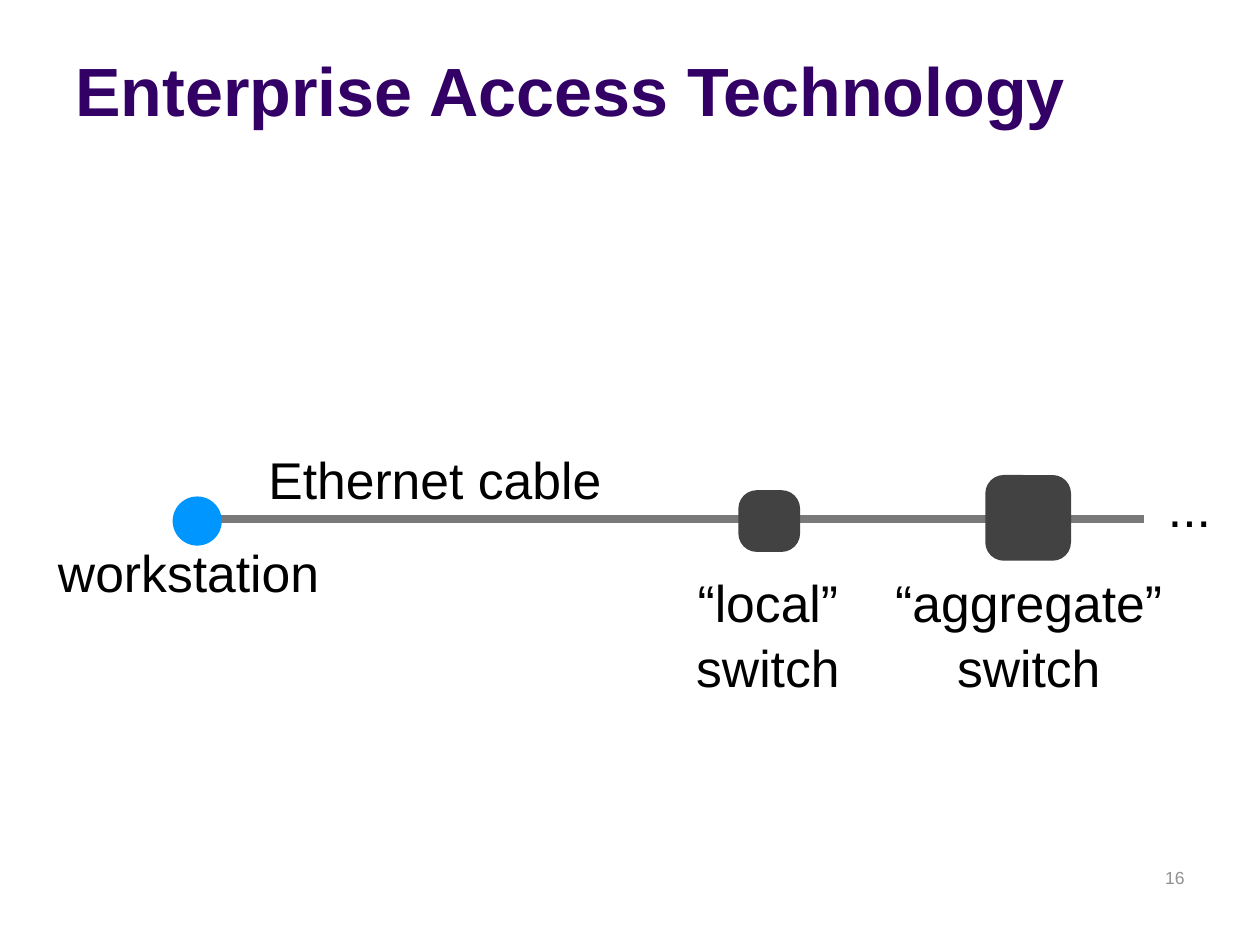
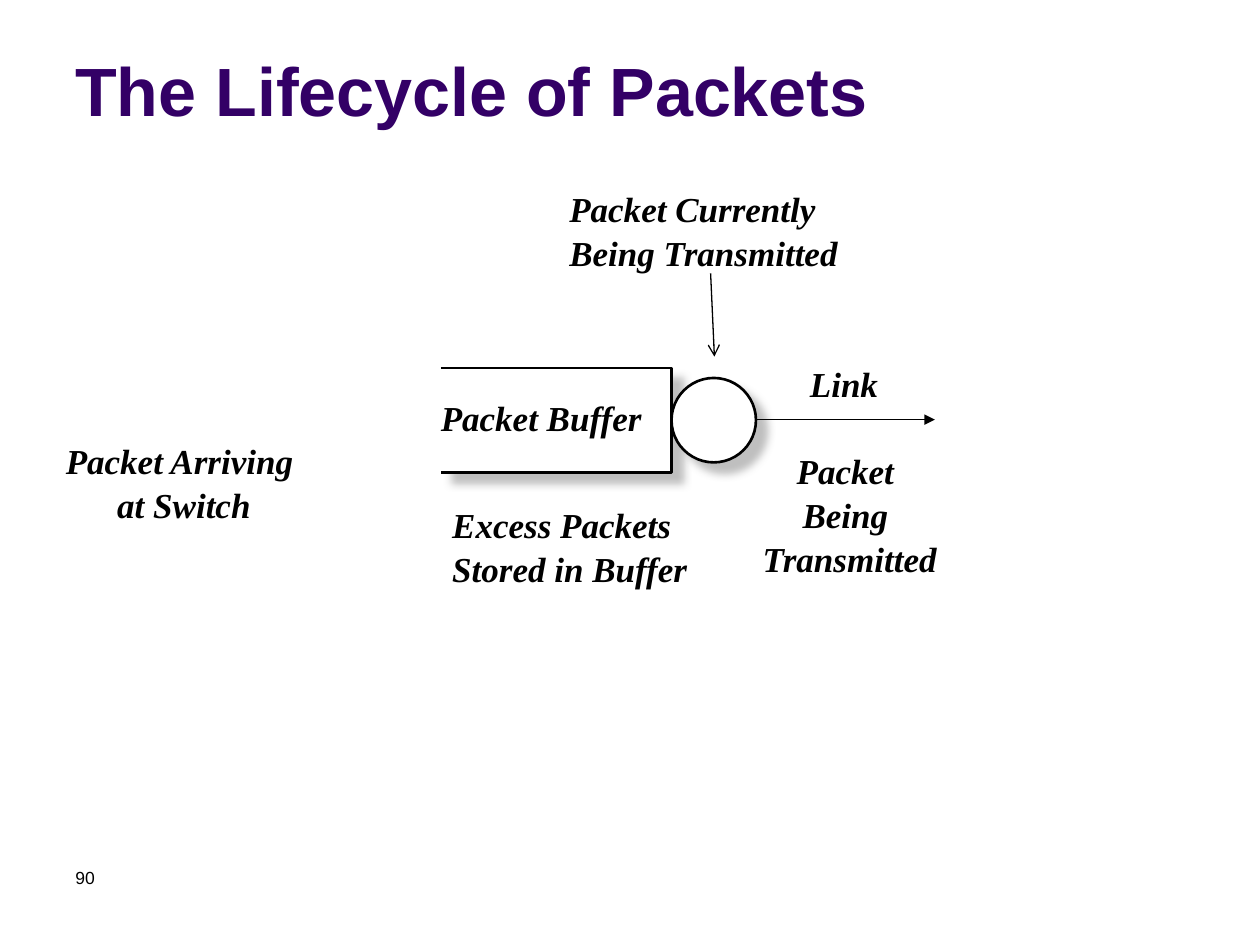
from dataclasses import dataclass

from lxml import etree
from pptx import Presentation
from pptx.dml.color import RGBColor
from pptx.enum.shapes import MSO_CONNECTOR as CONN, MSO_SHAPE as SHAPE
from pptx.enum.text import MSO_ANCHOR as ANCHOR, MSO_AUTO_SIZE as AUTO, PP_ALIGN as ALIGN
from pptx.oxml.ns import qn
from pptx.util import Inches, Pt

COLORS = {
    "title": "330066",
    "text": "000000",
    "number": "919191",
    "cable": "797979",
    "workstation": "0096FF",
    "switch": "424242",
    "paper": "FFFFFF",
    "shadow": "808080",
}


@dataclass(frozen=True)
class Style:
    size: float
    color: str = "text"
    font: str = "Arial"
    bold: bool = False
    italic: bool = False
    spacing: float = 1.0
    anchor: ANCHOR = ANCHOR.TOP
    inset: tuple[float, float] = (0.1, 0.05)
    grow: bool = False


@dataclass(frozen=True)
class Label:
    text: str
    left: float
    top: float
    width: float
    height: float
    align: ALIGN = ALIGN.LEFT
    wrap: bool = False


@dataclass(frozen=True)
class Node:
    kind: SHAPE
    left: float
    top: float
    size: float
    fill: str
    corner: float | None = None


TITLE = Style(39, "title", bold=True, anchor=ANCHOR.BOTTOM)
NUMBER = Style(10)
GRAY_NUMBER = Style(10, "number")
DEVICE = Style(29.5, spacing=1.05, anchor=ANCHOR.MIDDLE, inset=(0.04, 0.04), grow=True)
NOTE = Style(20, font="Times New Roman", bold=True, italic=True, spacing=1.05, grow=True)

DEVICE_NODES = [
    Node(SHAPE.OVAL, 1.37, 3.94, 0.39, "workstation"),
    Node(SHAPE.ROUNDED_RECTANGLE, 7.82, 3.77, 0.68, "switch", 0.214),
    Node(SHAPE.ROUNDED_RECTANGLE, 5.86, 3.89, 0.49, "switch", 0.3),
]
DEVICE_LABELS = [
    Label("workstation", 0.42, 4.24, 2.28, 0.58, wrap=True),
    Label("“aggregate” switch", 6.76, 4.49, 2.81, 1.07, ALIGN.CENTER, True),
    Label("Ethernet cable", 2.09, 3.5, 3.08, 0.58, wrap=True),
    Label("“local” switch", 5.23, 4.49, 1.73, 1.07, ALIGN.CENTER, True),
    Label("...", 9.23, 3.72, 0.43, 0.58),
]
PACKET_LABELS = [
    Label("Excess Packets\nStored in Buffer", 3.49, 3.93, 2.18, 0.77),
    Label("Packet Arriving \nat Switch", 0.4, 3.42, 2.12, 0.77, ALIGN.CENTER),
    Label("Packet\nBeing\n Transmitted", 5.83, 3.5, 1.76, 1.11, ALIGN.CENTER),
    Label("Packet Buffer", 3.4, 3.08, 1.9, 0.44),
    Label("Link", 6.33, 2.81, 0.84, 0.44),
    Label("Packet Currently\nBeing Transmitted", 4.42, 1.42, 2.44, 0.77),
]


def rgb(name: str) -> RGBColor:
    return RGBColor.from_string(COLORS[name])


def add_label(s, label: Label, style: Style):
    box = s.shapes.add_textbox(Inches(label.left), Inches(label.top),
                               Inches(label.width), Inches(label.height))
    tf = box.text_frame
    tf.text = label.text
    tf.word_wrap = label.wrap
    tf.auto_size = AUTO.SHAPE_TO_FIT_TEXT if style.grow else AUTO.NONE
    tf.vertical_anchor = style.anchor
    tf.margin_left = tf.margin_right = Inches(style.inset[0])
    tf.margin_top = tf.margin_bottom = Inches(style.inset[1])
    for p in tf.paragraphs:
        p.alignment = label.align
        p.line_spacing = style.spacing
        for r in p.runs:
            r.font.name = style.font
            r.font.size = Pt(style.size)
            r.font.bold = style.bold
            r.font.italic = style.italic
            r.font.color.rgb = rgb(style.color)


def add_frame(prs, title: str, number: str, number_left: float, number_style: Style,
              align: ALIGN):
    s = prs.slides.add_slide(prs.slide_layouts[6])
    add_label(s, Label(title, 0.5, 0.13, 9.5, 0.95, wrap=True), TITLE)
    add_label(s, Label(number, number_left, 6.83, 2.33, 0.5, align, True), number_style)
    return s


def paint(sp, fill: str, outline: str | None = None):
    sp.shadow.inherit = False
    sp.fill.solid()
    sp.fill.fore_color.rgb = rgb(fill)
    if outline:
        sp.line.color.rgb = rgb(outline)
        sp.line.width = Pt(1.5)
    else:
        sp.line.fill.background()


def add_node(s, node: Node, outline: str | None = None):
    sp = s.shapes.add_shape(node.kind, Inches(node.left), Inches(node.top),
                            Inches(node.size), Inches(node.size))
    paint(sp, node.fill, outline)
    if node.corner is not None:
        sp.adjustments[0] = node.corner
    return sp


def add_line(s, start: tuple[float, float], end: tuple[float, float], color: str,
             width: float, head: str | None = None):
    line = s.shapes.add_connector(CONN.STRAIGHT, *map(Inches, start + end))
    line.line.color.rgb = rgb(color)
    line.line.width = Pt(width)
    if head:
        etree.SubElement(line.line._get_or_add_ln(), qn("a:tailEnd"), type=head)
    etree.SubElement(line._element.spPr, qn("a:effectLst"))


def add_shadow(sp):
    effects = sp._element.spPr.find(qn("a:effectLst"))
    shadow = etree.SubElement(effects, qn("a:outerShdw"), blurRad=str(Pt(5)),
                              dist=str(Pt(8.5)), dir=str(45 * 60000),
                              algn="tl", rotWithShape="0")
    color = etree.SubElement(shadow, qn("a:srgbClr"), val=COLORS["shadow"])
    etree.SubElement(color, qn("a:alpha"), val="50000")


def add_buffer(s, left: float, top: float, right: float, bottom: float):
    x1, y1, x2, y2 = map(Inches, (left, top, right, bottom))
    builder = s.shapes.build_freeform(x1, y1)
    builder.add_line_segments([(x2, y1), (x2, y2), (x1, y2)], close=False)
    return builder.convert_to_shape()


def build_access_slide(prs):
    s = add_frame(prs, "Enterprise Access Technology", "16", 7.17, GRAY_NUMBER, ALIGN.RIGHT)
    add_line(s, (1.58, 4.12), (9.08, 4.12), "cable", 5)
    for node in DEVICE_NODES:
        add_node(s, node)
    for label in DEVICE_LABELS:
        add_label(s, label, DEVICE)


def build_packet_slide(prs):
    s = add_frame(prs, "The Lifecycle of Packets", "90", 0.5, NUMBER, ALIGN.LEFT)
    buffer = add_buffer(s, 3.5, 2.92, 5.33, 3.75)
    paint(buffer, "paper", "text")
    add_shadow(buffer)
    add_shadow(add_node(s, Node(SHAPE.OVAL, 5.33, 3, 0.67, "paper"), "text"))
    add_line(s, (6, 3.33), (7.42, 3.33), "text", 0.75, "triangle")
    for label in PACKET_LABELS:
        add_label(s, label, NOTE)
    add_line(s, (5.64, 2.17), (5.67, 2.83), "text", 0.75, "arrow")


def main():
    prs = Presentation()
    prs.slide_width, prs.slide_height = Inches(10), Inches(7.5)
    build_access_slide(prs)
    build_packet_slide(prs)
    prs.save("out.pptx")


if __name__ == "__main__":
    main()
